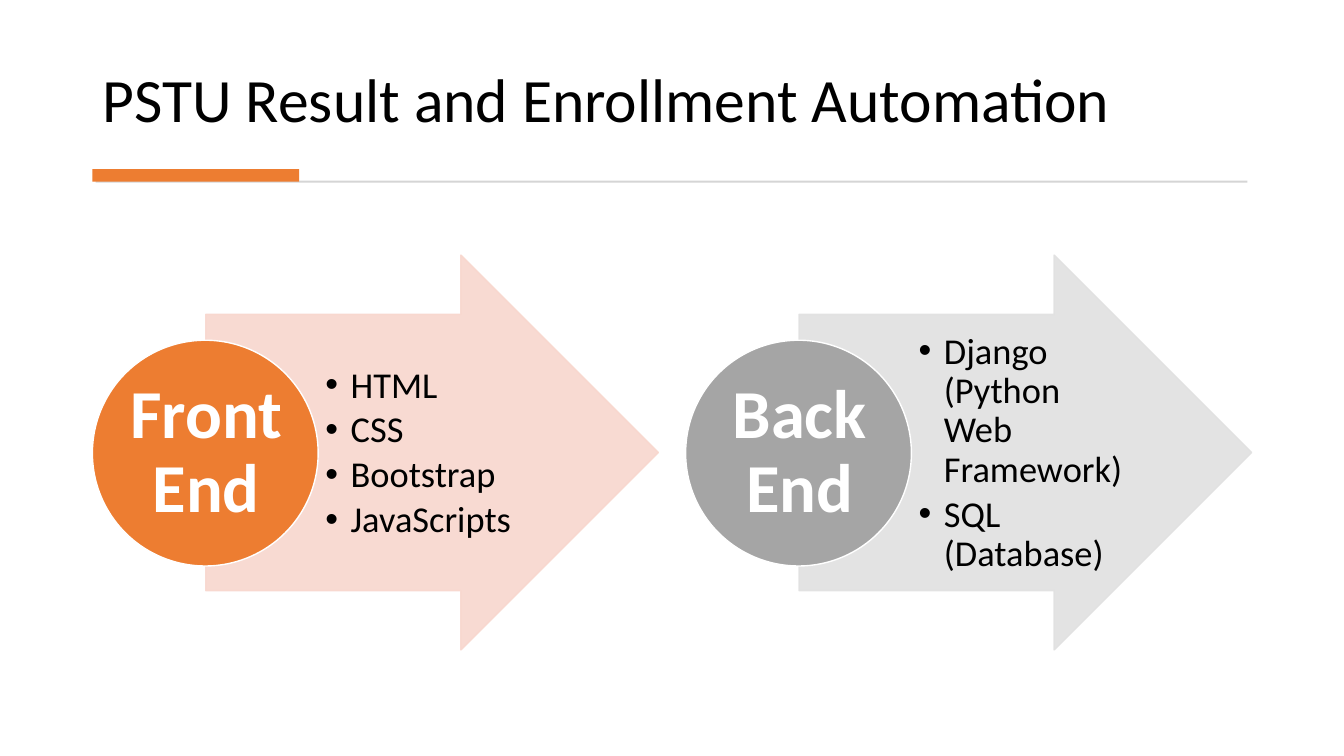
from lxml.etree import SubElement
from pptx import Presentation
from pptx.dml.color import RGBColor
from pptx.enum.shapes import MSO_SHAPE as Preset
from pptx.enum.text import MSO_ANCHOR as Anchor, PP_ALIGN as Align
from pptx.oxml.ns import qn
from pptx.util import Pt

PX = 9525
FONT = "Calibri"
BLACK = RGBColor(0x00, 0x00, 0x00)
WHITE = RGBColor(0xFF, 0xFF, 0xFF)
ORANGE = RGBColor(0xED, 0x7D, 0x31)
GRAY = RGBColor(0xA5, 0xA5, 0xA5)
RULE_GRAY = RGBColor(0xD5, 0xD5, 0xD5)
PALE_ORANGE = RGBColor(0xF8, 0xD7, 0xCE)
PALE_GRAY = RGBColor(0xE1, 0xE1, 0xE1)

STAGE_PITCH = 565
STAGES = [
    ("Front End", ORANGE, PALE_ORANGE,
     ["HTML", "CSS", "Bootstrap", "JavaScripts"]),
    ("Back End", GRAY, PALE_GRAY,
     ["Django (Python Web Framework)", "SQL (Database)"]),
]


def px(*lengths):
    return [length * PX for length in lengths]


def add_block(slide, preset, box, color, outline=None):
    block = slide.shapes.add_shape(preset, *px(*box))
    block.shadow.inherit = False
    block.fill.solid()
    block.fill.fore_color.rgb = color
    if outline is None:
        block.line.fill.background()
    else:
        block.line.color.rgb = outline
        block.line.width = Pt(1)
    return block


def add_arrow(slide, box, color):
    arrow = add_block(slide, Preset.RIGHT_ARROW, box, color, color)
    arrow.adjustments[0] = 0.7
    arrow.adjustments[1] = 0.5
    for tint in arrow._element.spPr.iter(qn("a:srgbClr")):
        SubElement(tint, qn("a:alpha"), val="90000")


def add_text(slide, box, lines, size, color, anchor, insets):
    frame = slide.shapes.add_textbox(*px(*box)).text_frame
    frame.word_wrap = True
    frame.vertical_anchor = anchor
    (frame.margin_left, frame.margin_top,
     frame.margin_right, frame.margin_bottom) = px(*insets)
    frame.text = "\n".join(lines)
    for paragraph in frame.paragraphs:
        paragraph.line_spacing = 0.9
        paragraph.font.name = FONT
        paragraph.font.size = Pt(size)
        paragraph.font.color.rgb = color
    return frame.paragraphs


def add_bullets(slide, box, items):
    for item in add_text(slide, box, items, 26, BLACK, Anchor.MIDDLE, (7, 2, 4, 2)):
        item.space_after = Pt(4)
        properties = item._p.get_or_add_pPr()
        properties.set("marL", str(24 * PX))
        properties.set("indent", str(-24 * PX))
        SubElement(properties, qn("a:buFont"), typeface="Arial")
        SubElement(properties, qn("a:buChar"), char="•")
        properties.append(properties.find(qn("a:defRPr")))


def add_stage(slide, left, name, color, pale, tools):
    add_arrow(slide, (left + 108, 243, 431, 376), pale)
    add_bullets(slide, (left + 215, 300, 210, 264), tools)
    add_block(slide, Preset.OVAL, (left, 324, 215, 215), color, WHITE)
    label, = add_text(slide, (left + 32, 355, 153, 153), [name], 49, WHITE,
                      Anchor.MIDDLE, (3, 3, 3, 3))
    label.alignment = Align.CENTER
    label.font.bold = True


def main():
    deck = Presentation()
    deck.slide_width, deck.slide_height = px(1280, 720)
    slide = deck.slides.add_slide(deck.slide_layouts[6])

    add_text(slide, (88, 27, 1103, 107), ["PSTU Result and Enrollment Automation"],
             44, BLACK, Anchor.BOTTOM, (10, 5, 10, 5))
    add_block(slide, Preset.RECTANGLE, (91, 172, 1097, 2), RULE_GRAY)
    add_block(slide, Preset.RECTANGLE, (88, 161, 197, 12), ORANGE)
    for index, stage in enumerate(STAGES):
        add_stage(slide, 88 + index * STAGE_PITCH, *stage)

    deck.save("out.pptx")


if __name__ == "__main__":
    main()
